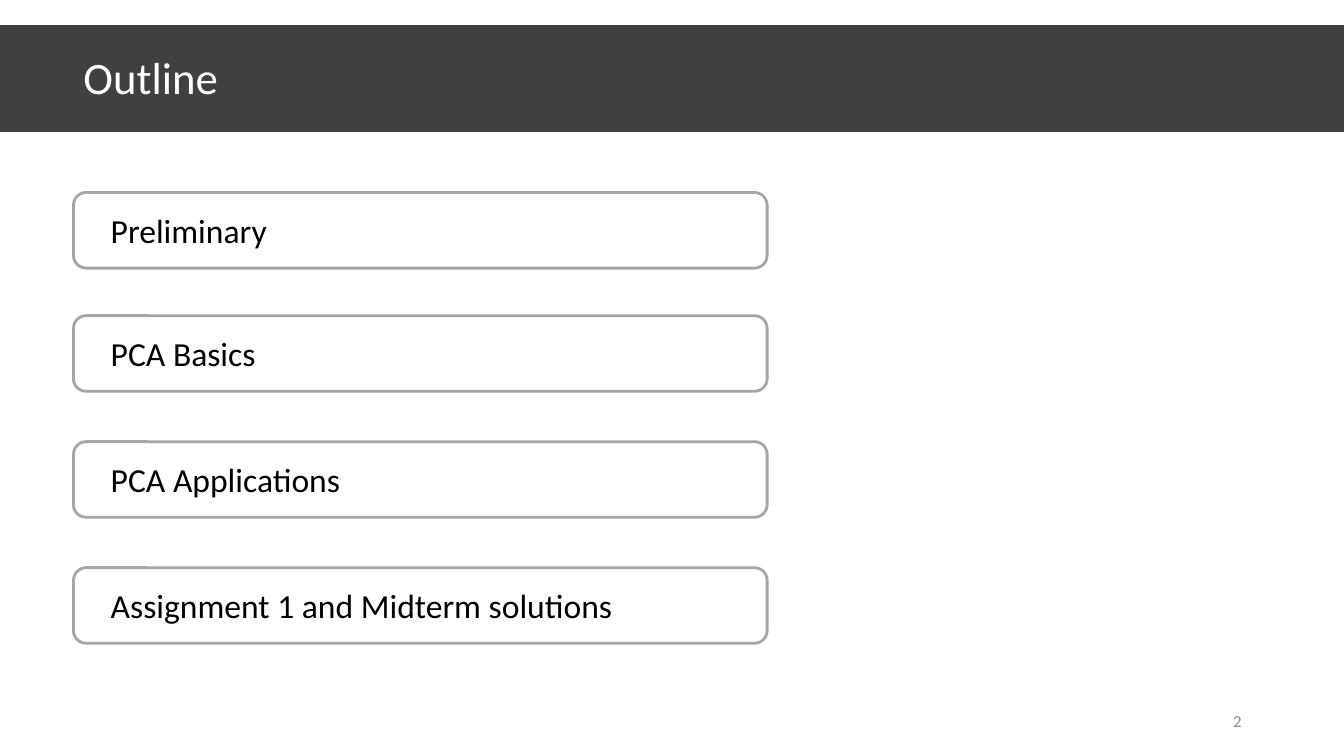
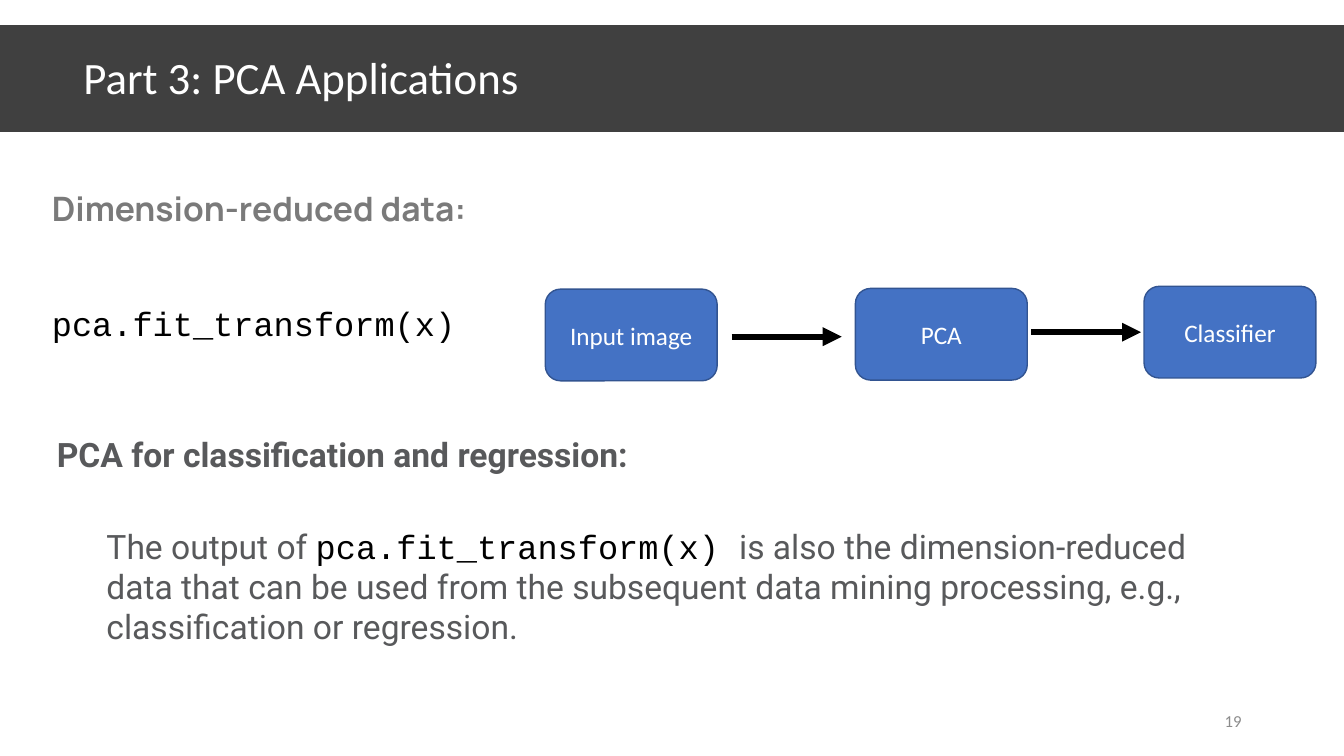
from dataclasses import dataclass

from lxml.etree import SubElement
from pptx import Presentation
from pptx.dml.color import RGBColor
from pptx.enum.shapes import MSO_CONNECTOR, MSO_SHAPE
from pptx.enum.text import MSO_ANCHOR, PP_ALIGN
from pptx.oxml.ns import qn
from pptx.shapes.autoshape import Shape
from pptx.slide import Slide
from pptx.text.text import Font, TextFrame
from pptx.util import Pt

SLIDE_WIDTH, SLIDE_HEIGHT = 960, 540
BAND_GREY, OUTLINE_GREY, NUMBER_GREY = "404040", "A6A6A6", "8C8C8C"
STEP_BLUE, STEP_EDGE = "4472C4", "325491"
WHITE, BLACK = "FFFFFF", "000000"


@dataclass(frozen=True)
class Style:
    name: str
    size: float
    color: str
    bold: bool = False


@dataclass(frozen=True)
class Area:
    left: float
    top: float
    width: float
    height: float


@dataclass(frozen=True)
class Label:
    text: str
    area: Area
    style: Style
    wrap: bool = True


@dataclass(frozen=True)
class Step:
    text: str
    left: float
    top: float


@dataclass(frozen=True)
class Arrow:
    start: float
    end: float
    level: float


TITLE = Style("Calibri", 32, WHITE)
NUMBER = Style("Calibri", 12, NUMBER_GREY)
ITEM = Style("Calibri", 24, BLACK)
STEP = Style("Calibri", 18, WHITE)
CODE = Style("Courier New", 24, BLACK)
BODY = Style("Roboto", 24, "58595B")
BODY_HEADING = Style("Roboto", 24, "58595B", bold=True)
DATA_HEADING = Style("Manrope", 24, "7A7A7A", bold=True)

OUTLINE = {
    "Preliminary": 137.5,
    "PCA Basics": 225.5,
    "PCA Applications": 315.5,
    "Assignment 1 and Midterm solutions": 405.5,
}
LABELS = [
    Label("pca.fit_transform(x)", Area(30, 213, 305, 36), CODE, wrap=False),
    Label("Dimension-reduced data:", Area(30, 130.5, 310, 36), DATA_HEADING, wrap=False),
    Label("PCA for classification and regression:", Area(33.5, 306.5, 811.5, 65.5), BODY_HEADING),
]
EXPLANATION = [
    ("The output of ", BODY),
    ("pca.fit_transform(x) ", CODE),
    ("is also the dimension-reduced data that can be used from the subsequent "
     "data mining processing, e.g., classification or regression.", BODY),
]
STEPS = [
    Step("Input image", 389.5, 206.5),
    Step("PCA", 611, 206),
    Step("Classifier", 817.2, 204.5),
]
ARROWS = [Arrow(522.7, 601.2, 240.5), Arrow(736.5, 815, 237.3)]


def color(value: str) -> RGBColor:
    return RGBColor.from_string(value)


def set_font(font: Font, style: Style) -> None:
    font.name = style.name
    font.size = Pt(style.size)
    font.bold = style.bold
    font.color.rgb = color(style.color)


def add_box(page: Slide, kind: MSO_SHAPE, area: Area, fill: str | None = None,
            edge: str | None = None, edge_width: float = 1) -> Shape:
    box = page.shapes.add_shape(
        kind, Pt(area.left), Pt(area.top), Pt(area.width), Pt(area.height))
    box.shadow.inherit = False
    if fill:
        box.fill.solid()
        box.fill.fore_color.rgb = color(fill)
    else:
        box.fill.background()
    if edge:
        box.line.color.rgb = color(edge)
        box.line.width = Pt(edge_width)
    else:
        box.line.fill.background()
    return box


def write(frame: TextFrame, text: str, style: Style,
          align: PP_ALIGN = PP_ALIGN.LEFT) -> None:
    """Put one uniformly styled paragraph in the frame."""
    para = frame.paragraphs[0]
    para.text = text
    para.alignment = align
    set_font(para.font, style)


def add_text_frame(page: Slide, area: Area, anchor: MSO_ANCHOR = MSO_ANCHOR.TOP,
                   wrap: bool = True) -> TextFrame:
    box = page.shapes.add_textbox(
        Pt(area.left), Pt(area.top), Pt(area.width), Pt(area.height))
    frame = box.text_frame
    frame.word_wrap = wrap
    frame.vertical_anchor = anchor
    return frame


def add_page(deck: Presentation, title: str, number: int) -> Slide:
    """Add a slide with the title band and the page number."""
    page = deck.slides.add_slide(deck.slide_layouts[6])
    add_box(page, MSO_SHAPE.RECTANGLE, Area(0, 18, SLIDE_WIDTH, 76.3), BAND_GREY)
    title_frame = add_text_frame(page, Area(52.5, 30, 855, 55), MSO_ANCHOR.MIDDLE)
    write(title_frame, title, TITLE)
    title_frame.paragraphs[0].line_spacing = 0.9
    number_frame = add_text_frame(page, Area(678, 500.5, 216, 28.8), MSO_ANCHOR.MIDDLE)
    write(number_frame, str(number), NUMBER, PP_ALIGN.RIGHT)
    return page


def add_outline_item(page: Slide, text: str, top: float) -> None:
    box = add_box(page, MSO_SHAPE.ROUNDED_RECTANGLE, Area(52.5, top, 495.5, 54),
                  edge=OUTLINE_GREY, edge_width=2)
    box.text_frame.margin_left = Pt(24)
    box.text_frame.vertical_anchor = MSO_ANCHOR.MIDDLE
    write(box.text_frame, text, ITEM)


def add_step(page: Slide, step: Step) -> None:
    box = add_box(page, MSO_SHAPE.ROUNDED_RECTANGLE,
                  Area(step.left, step.top, 122.8, 65.5), STEP_BLUE, STEP_EDGE)
    box.text_frame.vertical_anchor = MSO_ANCHOR.MIDDLE
    write(box.text_frame, step.text, STEP, PP_ALIGN.CENTER)


def add_arrow(page: Slide, arrow: Arrow) -> None:
    line = page.shapes.add_connector(
        MSO_CONNECTOR.STRAIGHT, Pt(arrow.start), Pt(arrow.level),
        Pt(arrow.end), Pt(arrow.level))
    line.line.color.rgb = color(BLACK)
    line.line.width = Pt(4.5)
    SubElement(line.line._get_or_add_ln(), qn("a:tailEnd"), type="triangle")
    SubElement(line._element.spPr, qn("a:effectLst"))


def build_outline(deck: Presentation) -> None:
    page = add_page(deck, "Outline", 2)
    for text, top in OUTLINE.items():
        add_outline_item(page, text, top)


def build_applications(deck: Presentation) -> None:
    page = add_page(deck, "Part 3: PCA Applications", 19)
    for label in LABELS:
        write(add_text_frame(page, label.area, wrap=label.wrap), label.text, label.style)
    para = add_text_frame(page, Area(69, 372, 811.5, 124)).paragraphs[0]
    for text, style in EXPLANATION:
        span = para.add_run()
        span.text = text
        set_font(span.font, style)
    for step in STEPS:
        add_step(page, step)
    for arrow in ARROWS:
        add_arrow(page, arrow)


def main() -> None:
    deck = Presentation()
    deck.slide_width, deck.slide_height = Pt(SLIDE_WIDTH), Pt(SLIDE_HEIGHT)
    build_outline(deck)
    build_applications(deck)
    deck.save("out.pptx")


if __name__ == "__main__":
    main()
